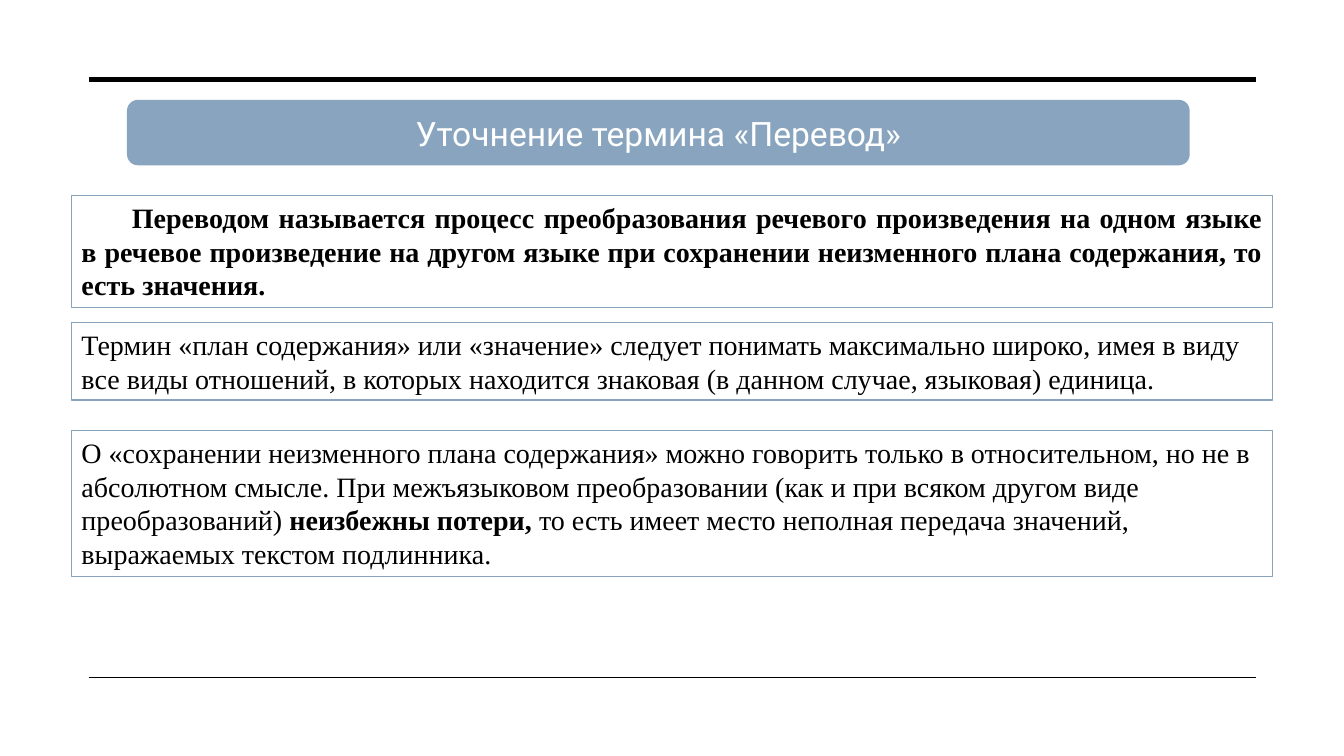
import dataclasses

import pptx
import pptx.dml.color
import pptx.enum.shapes
import pptx.enum.text
import pptx.oxml.ns
import pptx.presentation
import pptx.shapes.autoshape
import pptx.slide
import pptx.util
import lxml.etree

Inches = pptx.util.Inches
Pt = pptx.util.Pt
RGBColor = pptx.dml.color.RGBColor
MSO_SHAPE = pptx.enum.shapes.MSO_SHAPE
PP_ALIGN = pptx.enum.text.PP_ALIGN
MSO_ANCHOR = pptx.enum.text.MSO_ANCHOR

BLACK = RGBColor(0x00, 0x00, 0x00)
WHITE = RGBColor(0xFF, 0xFF, 0xFF)
STEEL_BLUE = RGBColor(0x88, 0xA4, 0xBE)

TITLE_FORMAT = {"name": "Roboto", "size": Pt(24), "bold": False}
BODY_FORMAT = {"name": "Times New Roman", "size": Pt(20)}
TITLE_AREA = (1.26, 0.99, 10.54, 0.65)


@dataclasses.dataclass
class Rule:
    top: float
    weight: float


@dataclasses.dataclass
class Run:
    text: str
    bold: bool = False


@dataclasses.dataclass
class Statement:
    top: float
    height: float
    runs: list[Run]
    align: PP_ALIGN = PP_ALIGN.LEFT
    indent: float = 0


RULES = [Rule(0.79, 3.5), Rule(6.72, 1)]

STATEMENTS = [
    Statement(1.94, 1.11, [
        Run("Переводом называется процесс преобразования речевого произведения на одном языке "
            "в речевое произведение на другом языке при сохранении неизменного плана содержания, "
            "то есть значения.", True),
    ], PP_ALIGN.JUSTIFY, 0.5),
    Statement(3.2, 0.77, [
        Run("Термин «план содержания» или «значение» следует понимать максимально широко, имея "
            "в виду все виды отношений, в которых находится знаковая (в данном случае, языковая) "
            "единица."),
    ]),
    Statement(4.27, 1.45, [
        Run("О «сохранении неизменного плана содержания» можно говорить только в относительном, "
            "но не в абсолютном смысле. При межъязыковом преобразовании (как и при всяком другом "
            "виде преобразований) "),
        Run("неизбежны потери, ", True),
        Run("то есть имеет место неполная передача значений, выражаемых текстом подлинника."),
    ]),
]


def format_font(font, values: dict, color: RGBColor) -> None:
    for name, value in values.items():
        setattr(font, name, value)
    font.color.rgb = color


def add_rule(s: pptx.slide.Slide, rule: Rule) -> None:
    line = s.shapes.add_connector(
        pptx.enum.shapes.MSO_CONNECTOR.STRAIGHT,
        Inches(0.88), Inches(rule.top), Inches(12.46), Inches(rule.top))
    line.line.color.rgb = BLACK
    line.line.width = Pt(rule.weight)
    lxml.etree.SubElement(line.element.spPr, pptx.oxml.ns.qn("a:effectLst"))


def add_panel(s: pptx.slide.Slide, kind: MSO_SHAPE, area: tuple,
              fill: RGBColor) -> pptx.shapes.autoshape.Shape:
    sp = s.shapes.add_shape(kind, *map(Inches, area))
    sp.shadow.inherit = False
    sp.fill.solid()
    sp.fill.fore_color.rgb = fill
    sp.line.color.rgb = STEEL_BLUE
    sp.line.width = Pt(1)
    return sp


def add_statement(s: pptx.slide.Slide, statement: Statement) -> None:
    sp = add_panel(s, MSO_SHAPE.RECTANGLE, (0.71, statement.top, 11.91, statement.height), WHITE)
    tf = sp.text_frame
    tf.word_wrap = True
    tf.vertical_anchor = MSO_ANCHOR.TOP
    p = tf.paragraphs[0]
    p.alignment = statement.align
    if statement.indent:
        p._p.get_or_add_pPr().set("indent", str(Inches(statement.indent)))
    for run in statement.runs:
        r = p.add_run()
        r.text = run.text
        format_font(r.font, BODY_FORMAT | {"bold": run.bold}, BLACK)


def add_title(s: pptx.slide.Slide, text: str) -> None:
    panel = add_panel(s, MSO_SHAPE.ROUNDED_RECTANGLE, TITLE_AREA, STEEL_BLUE)
    panel.line.fill.background()
    title = s.shapes.title
    for name, value in zip(("left", "top", "width", "height"), TITLE_AREA):
        setattr(title, name, Inches(value))
    panel.element.addnext(title.element)
    tf = title.text_frame
    tf.word_wrap = True
    tf.auto_size = pptx.enum.text.MSO_AUTO_SIZE.NONE
    tf.vertical_anchor = MSO_ANCHOR.MIDDLE
    p = tf.paragraphs[0]
    p.alignment = PP_ALIGN.CENTER
    r = p.add_run()
    r.text = text
    format_font(r.font, TITLE_FORMAT, WHITE)


def main() -> None:
    prs = pptx.Presentation()
    prs.slide_width = Inches(13.33)
    prs.slide_height = Inches(7.5)
    s = prs.slides.add_slide(prs.slide_layouts[5])
    for rule in RULES:
        add_rule(s, rule)
    for statement in STATEMENTS:
        add_statement(s, statement)
    add_title(s, "Уточнение термина «Перевод»")
    prs.save("out.pptx")


if __name__ == "__main__":
    main()
